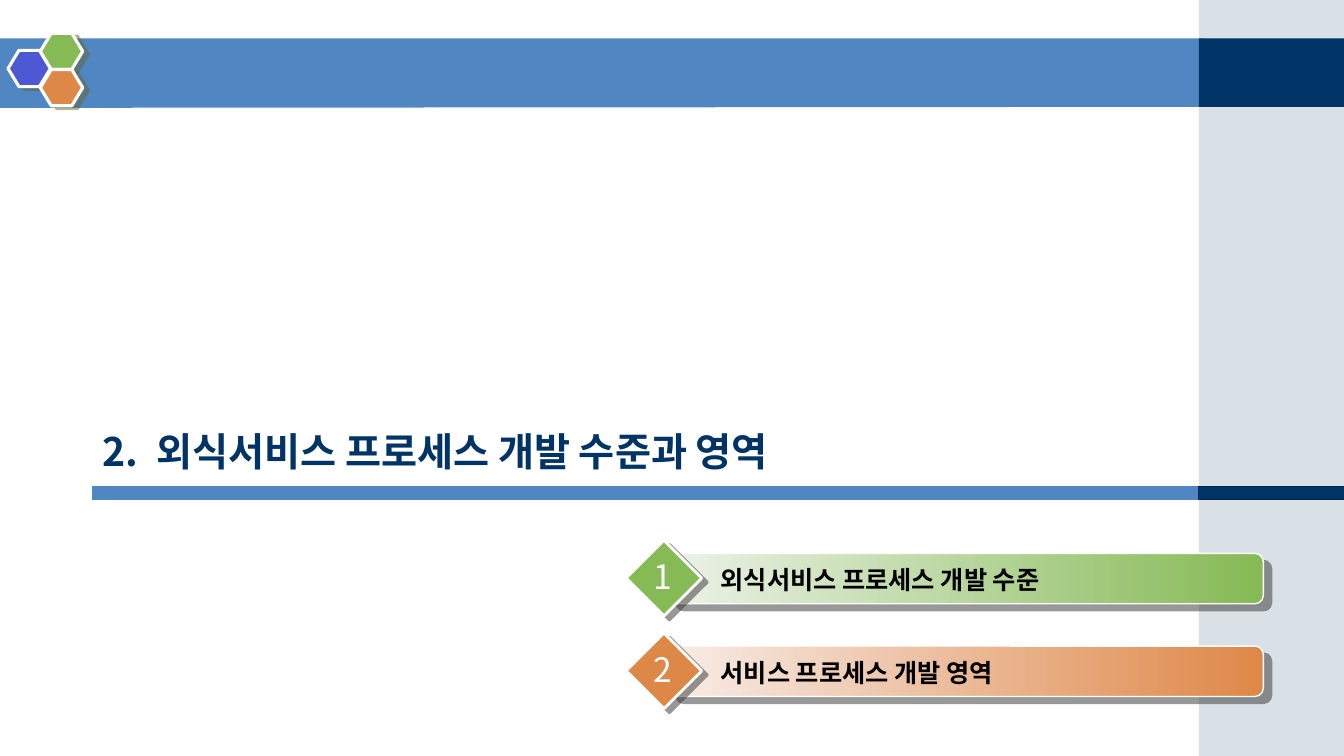
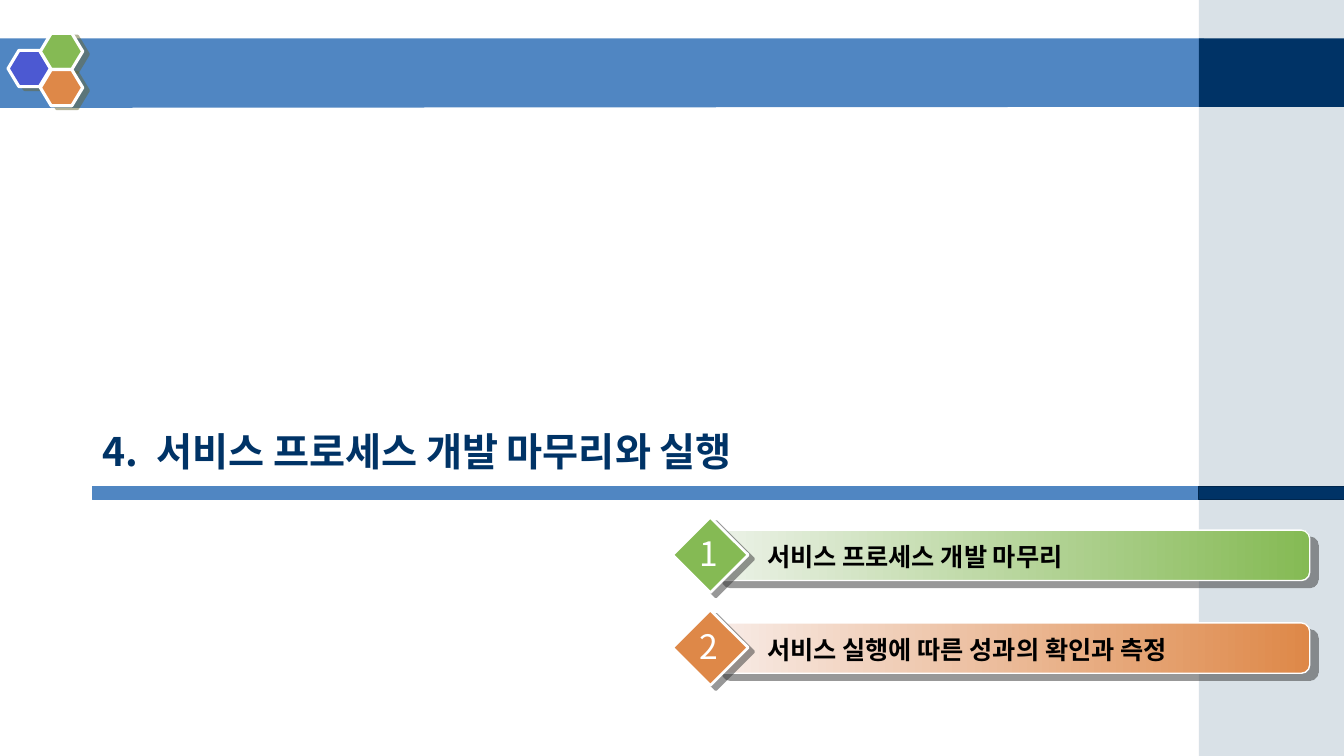
from lxml.etree import SubElement
from pptx import Presentation
from pptx.dml.color import RGBColor
from pptx.enum.shapes import MSO_SHAPE as SHAPE
from pptx.enum.text import MSO_ANCHOR as ANCHOR, PP_ALIGN as ALIGN
from pptx.oxml.ns import qn
from pptx.util import Inches, Pt

FONT = "Noto Sans CJK KR"
COLORS = {
    "blue": "5086C2", "navy": "003366", "navy_edge": "00264D", "mist": "A0B5C4",
    "violet": "4C59D2", "green": "85BA54", "orange": "DE8848",
    "pale_green": "ECF2E8", "pale_orange": "F8ECE7",
    "white": "FFFFFF", "black": "000000", "olive": "666633", "gray": "333333",
}
RGB = {name: RGBColor.from_string(value) for name, value in COLORS.items()}

SECTIONS = [
    {"number": "2.", "title": "외식서비스 프로세스 개발 수준과 영역", "left": 6.21, "top": 5.36,
     "topics": ["외식서비스 프로세스 개발 수준", "서비스 프로세스 개발 영역"]},
    {"number": "4.", "title": "서비스 프로세스 개발 마무리와 실행", "left": 6.67, "top": 5.13,
     "topics": ["서비스 프로세스 개발 마무리", "서비스 실행에 따른 성과의 확인과 측정"]},
]
TOPIC_STYLES = [("green", "pale_green"), ("orange", "pale_orange")]
TOPIC_STEP = 0.92
HEXAGONS = [(0.08, 0.5, "violet"), (0.4, 0.33, "green"), (0.4, 0.69, "orange")]
SIDE_LEFT, SIDE_WIDTH = 11.89, 1.44
TITLE_LEFT = 0.92


def add_block(slide, kind, area, fill, line=None, width=0.75, shadow=None):
    """Add a filled shape; shadow is (colour, distance in points, angle in degrees)."""
    block = slide.shapes.add_shape(kind, *map(Inches, area))
    block.fill.solid()
    block.fill.fore_color.rgb = RGB[fill]
    if line:
        block.line.color.rgb = RGB[line]
        block.line.width = Pt(width)
    else:
        block.line.fill.background()
    block.shadow.inherit = False
    if shadow:
        color, distance, angle = shadow
        effects = block._element.spPr.find(qn("a:effectLst"))
        outer = SubElement(effects, qn("a:outerShdw"), blurRad="0", dist=str(Pt(distance)),
                           dir=str(angle * 60000), algn="ctr", rotWithShape="0")
        shade = SubElement(outer, qn("a:srgbClr"), val=COLORS[color])
        SubElement(shade, qn("a:alpha"), val="50000")
    return block


def add_text(slide, area, text, size, color, bold=False, wrap=True, tab=None):
    box = slide.shapes.add_textbox(*map(Inches, area))
    box.text_frame.word_wrap = wrap
    para = box.text_frame.paragraphs[0]
    para.text = text
    properties = para._p.get_or_add_pPr()
    if tab:
        tabs = SubElement(properties, qn("a:tabLst"))
        SubElement(tabs, qn("a:tab"), pos=str(Inches(tab)), algn="l")
    para.font.name = FONT
    para.font.size = Pt(size)
    para.font.bold = bold
    para.font.color.rgb = RGB[color]
    SubElement(properties.find(qn("a:defRPr")), qn("a:ea"), typeface=FONT)
    return box


deck = Presentation()
deck.slide_width, deck.slide_height = Inches(13.33), Inches(7.5)

for section in SECTIONS:
    slide = deck.slides.add_slide(deck.slide_layouts[6])

    # Top band, side column and hexagon emblem
    outline = slide.shapes.build_freeform(Inches(-0.01), Inches(0.38))
    outline.add_line_segments(
        [(Inches(x), Inches(y)) for x, y in [(11.94, 0.38), (11.93, 1.06), (-0.01, 1.07)]])
    band = outline.convert_to_shape()
    band.fill.solid()
    band.fill.fore_color.rgb = RGB["blue"]
    band.line.fill.background()
    band.shadow.inherit = False

    column = add_block(slide, SHAPE.RECTANGLE, (SIDE_LEFT, 0, SIDE_WIDTH, 7.5), "mist")
    tint = column._element.spPr.find(qn("a:solidFill")).find(qn("a:srgbClr"))
    SubElement(tint, qn("a:alpha"), val="40000")
    add_block(slide, SHAPE.RECTANGLE, (SIDE_LEFT, 0.38, SIDE_WIDTH, 0.68), "navy")

    for left, top, color in HEXAGONS:
        hexagon = add_block(slide, SHAPE.HEXAGON, (left, top, 0.42, 0.36), color,
                            "white", 2.25, ("olive", 4.5, 27))
        hexagon.adjustments[0] = 0.3

    # Section title and its rule
    title = add_text(slide, (TITLE_LEFT, 3.12, 11.5, 1.64),
                     f"{section['number']}\t{section['title']}", 28, "navy", bold=True, tab=0.53)
    title.text_frame.vertical_anchor = ANCHOR.BOTTOM
    add_block(slide, SHAPE.RECTANGLE, (TITLE_LEFT, 4.83, SIDE_LEFT - TITLE_LEFT, 0.13),
              "blue", "blue")
    add_block(slide, SHAPE.RECTANGLE, (SIDE_LEFT, 4.83, 1.48, 0.13), "navy", "navy_edge")

    # Numbered topics
    left = section["left"]
    for index, (topic, (color, pale)) in enumerate(zip(section["topics"], TOPIC_STYLES)):
        top = section["top"] + index * TOPIC_STEP
        bar = add_block(slide, SHAPE.ROUNDED_RECTANGLE, (left + 0.41, top + 0.13, 5.91, 0.5),
                        color, "white", 1, ("gray", 7.8, 40))
        bar.fill.gradient()
        bar.fill.gradient_angle = 0
        for stop, shade in zip(bar.fill.gradient_stops, (pale, color)):
            stop.color.rgb = RGB[shade]
        add_block(slide, SHAPE.DIAMOND, (left, top, 0.75, 0.75), color,
                  "white", 2, ("gray", 5, 37))
        add_text(slide, (left + 0.84, top + 0.19, 5.4, 0.4), topic, 18, "black", bold=True)
        number = add_text(slide, (left + 0.17, top + 0.11, 0.37, 0.51), str(index + 1), 24,
                          "white", wrap=False)
        number.text_frame.paragraphs[0].alignment = ALIGN.CENTER

deck.save("out.pptx")
